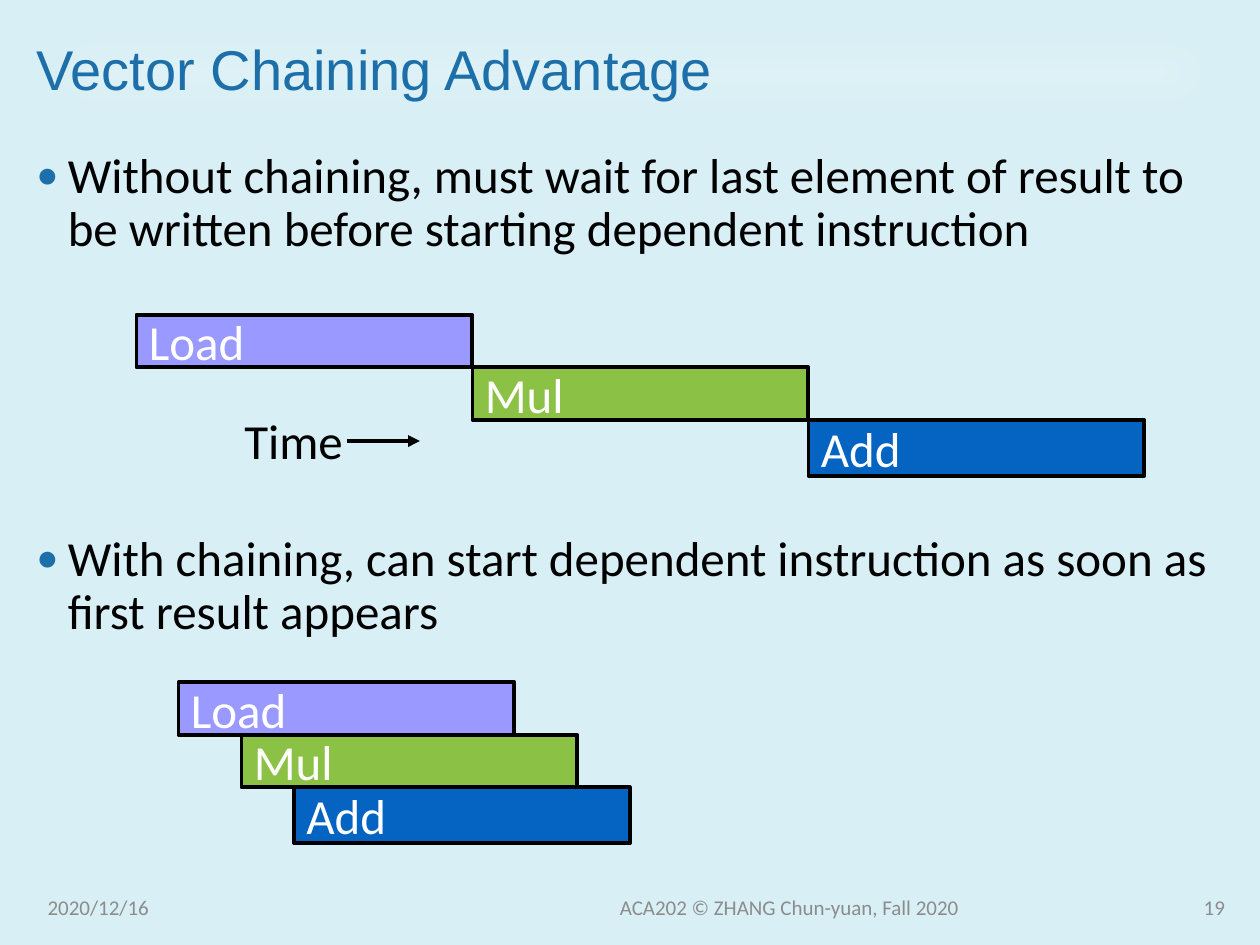
from lxml import etree
from pptx import Presentation
from pptx import util as u
from pptx.dml.color import RGBColor
from pptx.enum import shapes, text
from pptx.oxml.ns import qn

COLORS = {"background": "D7EFF5", "title": "1D6FA9", "band": "FFFFFF", "ink": "000000",
          "label": "FFFFFF", "footer": "8C8C8C",
          "Load": "9999FF", "Mul": "8BC145", "Add": "0563C1"}
CELL = 1 / 12  # diagram grid, inches
BAR_COLUMNS, BAR_ROWS = 32, 5
BARS = [("Load", BAR_ROWS), ("Mul", BAR_ROWS), ("Add", 5.3)]
LEFT, WIDTH = 0.19, 9.63  # title and body column, inches


def rgb(name):
    return RGBColor.from_string(COLORS[name])


def grid(*cells):
    return [u.Inches(cell * CELL) for cell in cells]


def inches(*lengths):
    return [u.Inches(length) for length in lengths]


def add_xml(parent, tag, **attributes):
    return etree.SubElement(parent, qn(tag), attributes)


def set_values(target, values):
    for name, value in values.items():
        setattr(target, name, value)


def write(shape, content, color, size=28, font="Calibri", frame=None, paragraph=None):
    """Put one formatted paragraph into a shape."""
    text_frame = shape.text_frame
    set_values(text_frame, {"word_wrap": True,
                            "vertical_anchor": text.MSO_ANCHOR.MIDDLE, **(frame or {})})
    first = text_frame.paragraphs[0]
    set_values(first, {"alignment": text.PP_ALIGN.LEFT, **(paragraph or {})})
    run = first.add_run()
    run.text = content
    set_values(run.font, {"size": u.Pt(size), "name": font})
    run.font.color.rgb = rgb(color)
    return first


def place_title(slide, content):
    title = slide.shapes.title
    place = inches(LEFT, 0.15, WIDTH, 0.85)
    set_values(title, dict(zip(("left", "top", "width", "height"), place)))
    write(title, content, "title", 32, "Arial", paragraph={"line_spacing": 0.9})
    # Translucent white band with soft edges
    title.fill.solid()
    title.fill.fore_color.rgb = rgb("band")
    properties = title._element.spPr
    add_xml(properties.find(".//" + qn("a:srgbClr")), "a:alpha", val="38000")
    effects = add_xml(properties, "a:effectLst")
    add_xml(effects, "a:softEdge", rad=str(u.Inches(0.35)))


def add_bullet(slide, top, content):
    box = slide.shapes.add_textbox(*inches(LEFT, top, WIDTH, 2.86))
    paragraph = write(box, content, "ink", frame={"vertical_anchor": text.MSO_ANCHOR.TOP},
                      paragraph={"line_spacing": 0.9})
    properties = paragraph._p.get_or_add_pPr()
    indent = u.Inches(0.25)
    properties.set("marL", str(indent))
    properties.set("indent", str(-indent))
    add_xml(add_xml(properties, "a:buClr"), "a:srgbClr", val=COLORS["title"])
    add_xml(properties, "a:buSzPct", val="75000")
    add_xml(properties, "a:buFont", typeface="Arial")
    add_xml(properties, "a:buChar", char="●")


def add_pipeline(slide, top_row, start_columns):
    """Stack one bar per instruction, each from its own start time."""
    for index, ((name, rows), column) in enumerate(zip(BARS, start_columns)):
        bar = slide.shapes.add_shape(
            shapes.MSO_SHAPE.RECTANGLE,
            *grid(column, top_row + index * BAR_ROWS, BAR_COLUMNS, rows))
        bar.shadow.inherit = False
        bar.fill.solid()
        bar.fill.fore_color.rgb = rgb(name)
        bar.line.color.rgb = rgb("ink")
        bar.line.width = u.Pt(2.25)
        write(bar, name, "label")


def add_time_arrow(slide):
    arrow = slide.shapes.add_connector(shapes.MSO_CONNECTOR.STRAIGHT, *grid(33, 42, 40, 42))
    arrow.line.color.rgb = rgb("ink")
    arrow.line.width = u.Pt(2.25)
    add_xml(arrow.line._get_or_add_ln(), "a:tailEnd", type="triangle")
    add_xml(arrow._element.spPr, "a:effectLst")
    label = slide.shapes.add_textbox(*inches(1.84, 3.21, 0.99, 0.57))
    write(label, "Time", "ink", frame={"word_wrap": False})


def add_footer(slide, left, width, content, alignment):
    box = slide.shapes.add_textbox(*inches(left, 7.05, width, 0.3))
    write(box, content, "footer", 12, paragraph={"alignment": alignment})


def main():
    presentation = Presentation()
    presentation.slide_width, presentation.slide_height = inches(10, 7.5)
    slide = presentation.slides.add_slide(presentation.slide_layouts.get_by_name("Title Only"))
    slide.background.fill.solid()
    slide.background.fill.fore_color.rgb = rgb("background")

    place_title(slide, "Vector Chaining Advantage")
    add_bullet(slide, 1.15, "Without chaining, must wait for last element of result to be "
                            "written before starting dependent instruction")
    add_bullet(slide, 4.19, "With chaining, can start dependent instruction as soon as "
                            "first result appears")

    # Chained bars overlap in time; unchained bars follow end to end
    add_pipeline(slide, 65, [17, 23, 28])
    add_pipeline(slide, 30, [13 + BAR_COLUMNS * step for step in range(len(BARS))])
    add_time_arrow(slide)

    # Footer
    align = text.PP_ALIGN
    add_footer(slide, 0.28, 3.7, "2020/12/16", align.LEFT)
    add_footer(slide, 4.14, 4.25, "ACA202 © ZHANG Chun-yuan, Fall 2020", align.CENTER)
    add_footer(slide, 8.78, 1.04, "19", align.RIGHT)

    presentation.save("out.pptx")


if __name__ == "__main__":
    main()
